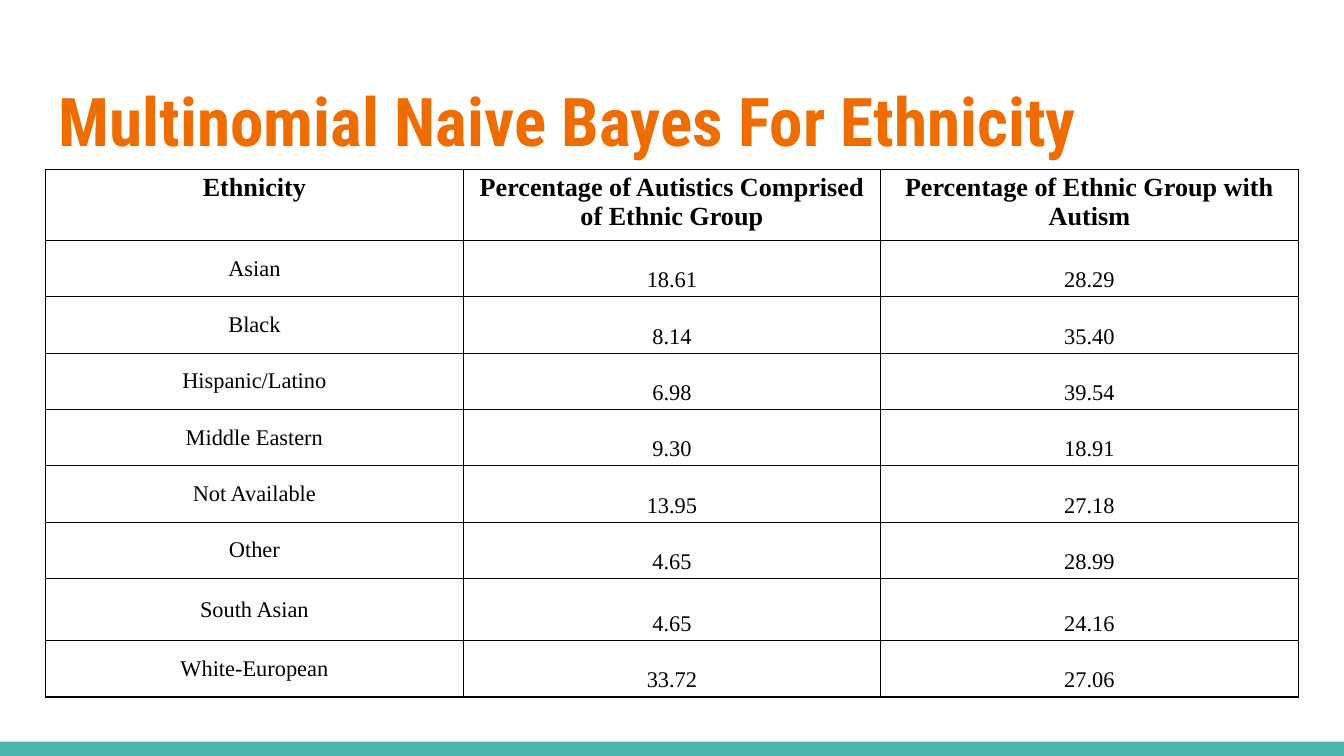
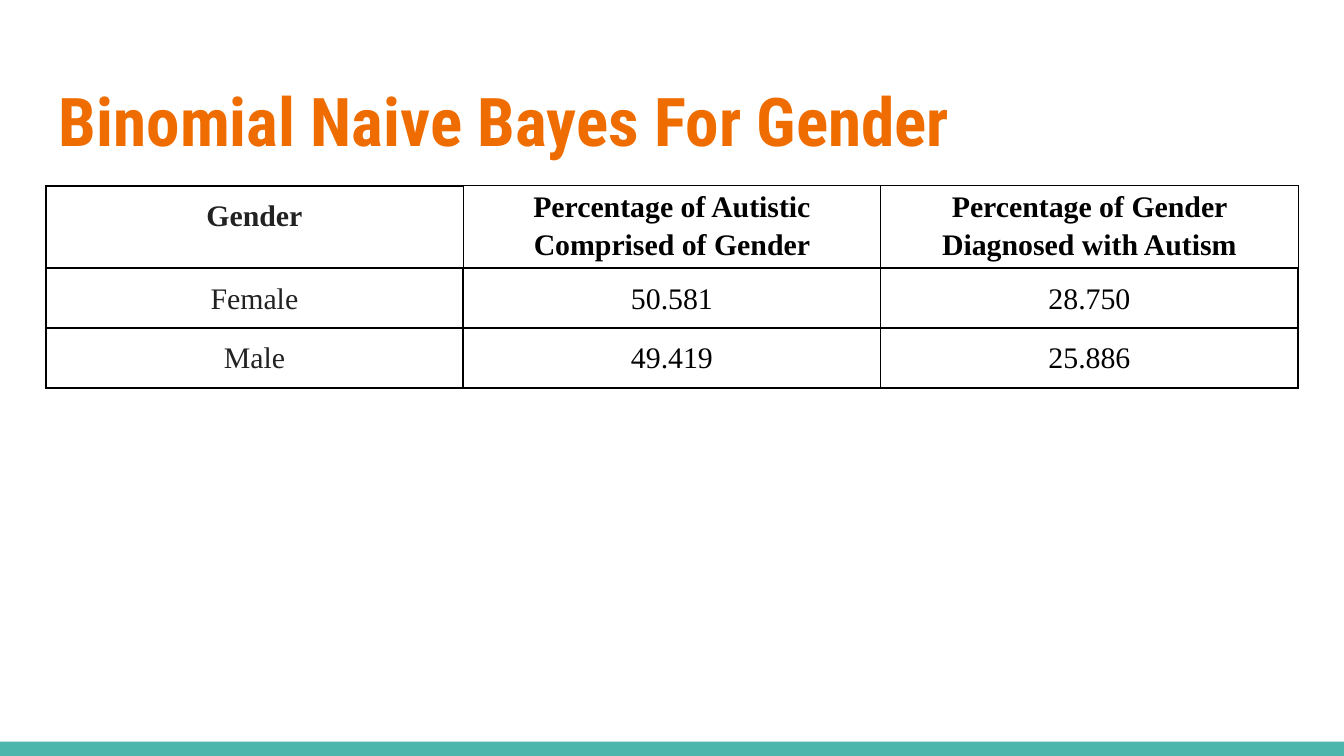
from dataclasses import dataclass, replace

from lxml import etree
from pptx import Presentation
from pptx.dml.color import RGBColor
from pptx.enum.shapes import MSO_SHAPE
from pptx.enum.text import MSO_ANCHOR, PP_ALIGN
from pptx.oxml.ns import qn
from pptx.util import Pt

RECT = MSO_SHAPE.RECTANGLE
TOP, MIDDLE, BOTTOM = MSO_ANCHOR.TOP, MSO_ANCHOR.MIDDLE, MSO_ANCHOR.BOTTOM
CENTER = PP_ALIGN.CENTER

COLORS = {
    "background": "FFFFFF",
    "band": "4DB6AC",
    "title": "EF6C00",
    "text": "000000",
    "label": "222222",
    "border": "000000",
}
TITLE_FONT = "Roboto Condensed"
TABLE_FONT = "Times New Roman"

SLIDE_W, SLIDE_H = 720, 405
BAND_H = 7.6
LEFT, CONTENT_W = 24.5, 671
TITLE_TOP, TITLE_H = 35.2, 55.5
ROW_H = 30.2


@dataclass(frozen=True)
class CellStyle:
    size: float
    bold: bool = False
    color: str = "text"
    highlight: bool = False
    anchor: MSO_ANCHOR = TOP
    spacing: float = 1.0
    margin_x: float = 2.25
    margin_y: float = 2.25
    borders: tuple[float, ...] = (0.75, 0.75, 0.75, 0.75)  # left, right, top, bottom


@dataclass(frozen=True)
class TableSlide:
    title: str
    top: float
    rows: list[tuple[str, ...]]
    header_styles: tuple[CellStyle, ...]
    body_styles: tuple[CellStyle, ...]
    row_heights: list[float]


# Ethnicity table
ETHNICITY_HEADER = CellStyle(14, bold=True)
ETHNICITY_LABEL = CellStyle(12, anchor=MIDDLE)
ETHNICITY_VALUE = CellStyle(12, anchor=BOTTOM, spacing=1.15)

# Gender table
GENDER_VALUE = CellStyle(16, spacing=1.15, margin_x=5, margin_y=5, borders=(1, 1, 1, 1))
GENDER_LABEL = replace(GENDER_VALUE, color="label", highlight=True)
GENDER_CORNER = replace(GENDER_LABEL, bold=True, borders=(1, 0.75, 1, 1))
GENDER_HEADER = replace(GENDER_VALUE, bold=True, margin_x=2.25, margin_y=0,
                        borders=(0.75, 0.75, 0.75, 1))

SLIDES = [
    TableSlide(
        "Multinomial Naive Bayes For Ethnicity", 90.7,
        [
            ("Ethnicity", "Percentage of Autistics Comprised of Ethnic Group",
             "Percentage of Ethnic Group with Autism"),
            ("Asian", "18.61", "28.29"),
            ("Black", "8.14", "35.40"),
            ("Hispanic/Latino", "6.98", "39.54"),
            ("Middle Eastern", "9.30", "18.91"),
            ("Not Available", "13.95", "27.18"),
            ("Other", "4.65", "28.99"),
            ("South Asian", "4.65", "24.16"),
            ("White-European", "33.72", "27.06"),
        ],
        (ETHNICITY_HEADER,) * 3,
        (ETHNICITY_LABEL, ETHNICITY_VALUE, ETHNICITY_VALUE),
        [ROW_H] * 7 + [33.2, ROW_H],
    ),
    TableSlide(
        "Binomial Naive Bayes For Gender", 99.5,
        [
            ("Gender", "Percentage of Autistic Comprised of Gender",
             "Percentage of Gender Diagnosed with Autism"),
            ("Female", "50.581", "28.750"),
            ("Male", "49.419", "25.886"),
        ],
        (GENDER_CORNER, GENDER_HEADER, GENDER_HEADER),
        (GENDER_LABEL, GENDER_VALUE, GENDER_VALUE),
        [ROW_H] * 3,
    ),
]


def rgb(name: str) -> RGBColor:
    return RGBColor.from_string(COLORS[name])


def add_color(parent, tag: str, name: str) -> None:
    el = etree.SubElement(parent, qn(tag))
    etree.SubElement(el, qn("a:srgbClr"), val=COLORS[name])


def set_borders(cell, widths: tuple[float, ...]) -> None:
    tcPr = cell._tc.get_or_add_tcPr()
    for i, (side, width) in enumerate(zip("LRTB", widths)):
        ln = etree.Element(qn(f"a:ln{side}"), w=str(int(Pt(width))))
        add_color(ln, "a:solidFill", "border")
        tcPr.insert(i, ln)


def fill_cell(cell, text: str, style: CellStyle) -> None:
    cell.fill.background()
    cell.vertical_anchor = style.anchor
    cell.margin_left = cell.margin_right = Pt(style.margin_x)
    cell.margin_top = cell.margin_bottom = Pt(style.margin_y)
    set_borders(cell, style.borders)
    p = cell.text_frame.paragraphs[0]
    p.text = text
    p.alignment = CENTER
    p.line_spacing = style.spacing
    r = p.runs[0]
    r.font.size = Pt(style.size)
    r.font.bold = style.bold
    r.font.color.rgb = rgb(style.color)
    if style.highlight:
        add_color(r._r.get_or_add_rPr(), "a:highlight", "background")
    r.font.name = TABLE_FONT


def add_frame(s, title: str) -> None:
    """Background, bottom band and title shared by every slide."""
    s.background.fill.solid()
    s.background.fill.fore_color.rgb = rgb("background")

    band = s.shapes.add_shape(RECT, 0, Pt(SLIDE_H - BAND_H), Pt(SLIDE_W), Pt(BAND_H))
    band.shadow.inherit = False
    band.fill.solid()
    band.fill.fore_color.rgb = rgb("band")
    band.line.fill.background()

    sp = s.shapes.add_textbox(Pt(LEFT), Pt(TITLE_TOP), Pt(CONTENT_W), Pt(TITLE_H))
    tf = sp.text_frame
    tf.word_wrap = True
    tf.vertical_anchor = TOP
    tf.margin_left = tf.margin_right = tf.margin_top = tf.margin_bottom = Pt(7.2)
    tf.text = title
    font = tf.paragraphs[0].runs[0].font
    font.size = Pt(36)
    font.bold = True
    font.name = TITLE_FONT
    font.color.rgb = rgb("title")


def add_data_table(s, data: TableSlide) -> None:
    n_cols = len(data.rows[0])
    table = s.shapes.add_table(len(data.rows), n_cols, Pt(LEFT), Pt(data.top),
                               Pt(CONTENT_W), Pt(sum(data.row_heights))).table
    table.first_row = table.horz_banding = False
    for col in table.columns:
        col.width = Pt(round(CONTENT_W / n_cols, 2))
    for i, (texts, height) in enumerate(zip(data.rows, data.row_heights)):
        table.rows[i].height = Pt(height)
        styles = data.body_styles if i else data.header_styles
        for j, (text, style) in enumerate(zip(texts, styles)):
            fill_cell(table.cell(i, j), text, style)


def main() -> None:
    prs = Presentation()
    prs.slide_width, prs.slide_height = Pt(SLIDE_W), Pt(SLIDE_H)
    for data in SLIDES:
        s = prs.slides.add_slide(prs.slide_layouts[6])
        add_frame(s, data.title)
        add_data_table(s, data)
    prs.save("out.pptx")


if __name__ == "__main__":
    main()
